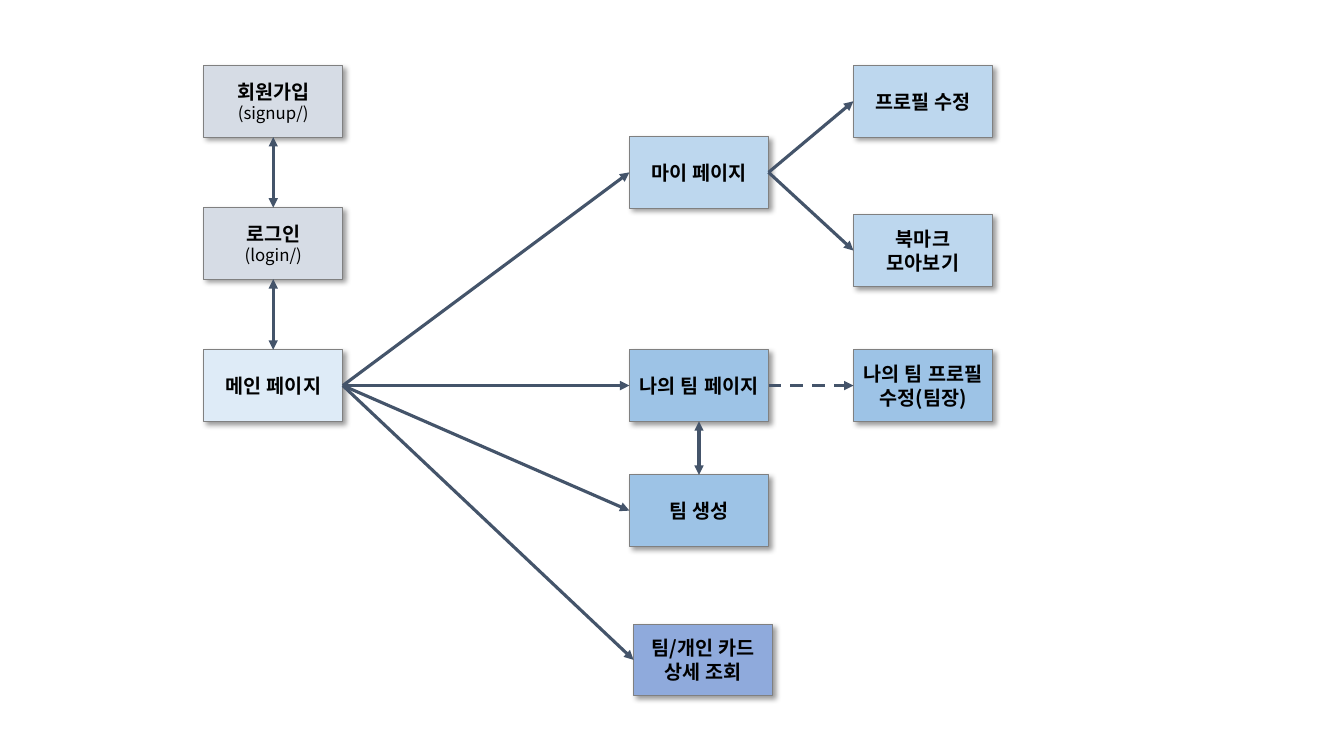
from lxml.etree import SubElement
from pptx import Presentation
from pptx.dml.color import RGBColor
from pptx.enum.dml import MSO_LINE
from pptx.enum.lang import MSO_LANGUAGE_ID
from pptx.enum.shapes import MSO_CONNECTOR, MSO_SHAPE
from pptx.enum.text import MSO_ANCHOR, PP_ALIGN
from pptx.oxml.ns import qn
from pptx.util import Inches, Pt

BLACK = RGBColor(0x00, 0x00, 0x00)
GRAY = RGBColor(0x80, 0x80, 0x80)
SLATE = RGBColor(0x44, 0x54, 0x6A)
ACCOUNT = RGBColor(0xD6, 0xDC, 0xE5)
MAIN = RGBColor(0xDE, 0xEB, 0xF7)
MY_PAGE = RGBColor(0xBD, 0xD7, 0xEE)
TEAM = RGBColor(0x9D, 0xC3, 0xE6)
CARD = RGBColor(0x8F, 0xAA, 0xDC)

# Grid: a column is one box wide, a row is one box plus the gap below it.
LEFT, TOP = 2.02, 0.65
COL, ROW = 1.38, 1.41
BOX_HEIGHT = 0.71
# Connection sites of a rectangle
TOP_SITE, LEFT_SITE, BOTTOM_SITE, RIGHT_SITE = range(4)


class Sitemap:
    """Style and current slide of the page-flow diagram."""

    font = "Noto Sans CJK KR"

    def __init__(self, s):
        """Keep the slide to draw on."""
        self.s = s

    def box(self, col, row, text, fill):
        """Add a page box at a grid place; a second line is its small URL."""
        sp = self.s.shapes.add_shape(
            MSO_SHAPE.RECTANGLE, Inches(LEFT + col * COL),
            Inches(TOP + row * ROW), Inches(COL), Inches(BOX_HEIGHT))
        sp.fill.solid()
        sp.fill.fore_color.rgb = fill
        sp.line.color.rgb = GRAY
        sp.line.width = Pt(0.5)
        self.shade(sp)
        tf = sp.text_frame
        tf.word_wrap = True
        tf.vertical_anchor = MSO_ANCHOR.MIDDLE
        tf.margin_left = tf.margin_right = 0
        tf.margin_top = tf.margin_bottom = Inches(0.04)
        tf.text = text
        for p in tf.paragraphs:
            p.alignment = PP_ALIGN.CENTER
            is_url = p.text.startswith("(")
            for r in p.runs:
                self.style(r, 12 if is_url else 14, not is_url)
        return sp

    def style(self, r, size, bold):
        """Format one run, Korean glyphs included."""
        r.font.size = Pt(size)
        r.font.bold = bold
        r.font.color.rgb = BLACK
        r.font.name = self.font
        r.font.language_id = MSO_LANGUAGE_ID.KOREAN
        SubElement(r.font._element, qn("a:ea"), typeface=self.font)

    def shade(self, sp):
        """Give a box its soft shadow down to the right."""
        sp.shadow.inherit = False
        effects = sp._element.spPr.find(qn("a:effectLst"))
        shadow = SubElement(
            effects, qn("a:outerShdw"), blurRad=str(Pt(4)), dist=str(Pt(3)),
            dir=str(45 * 60000), algn="tl", rotWithShape="0")
        color = SubElement(shadow, qn("a:srgbClr"), val=str(BLACK))
        SubElement(color, qn("a:alpha"), val="40000")

    def arrow(self, start, end, sites=(RIGHT_SITE, LEFT_SITE),
              two_way=False, dashed=False):
        """Glue an arrow between the given sites of two boxes."""
        line = self.s.shapes.add_connector(MSO_CONNECTOR.STRAIGHT, 0, 0, 0, 0)
        line.begin_connect(start, sites[0])
        line.end_connect(end, sites[1])
        line.line.color.rgb = SLATE
        line.line.width = Pt(2.25)
        if dashed:
            line.line.dash_style = MSO_LINE.DASH
        ln = line.line._get_or_add_ln()
        for tag in ("a:headEnd", "a:tailEnd") if two_way else ("a:tailEnd",):
            SubElement(ln, qn(tag), type="triangle")
        SubElement(line._element.spPr, qn("a:effectLst"))


def build():
    """Draw the page flow and save it."""
    prs = Presentation()
    prs.slide_width, prs.slide_height = Inches(13.33), Inches(7.5)
    site = Sitemap(prs.slides.add_slide(prs.slide_layouts[6]))

    signup = site.box(0, 0, "회원가입\n(signup/)", ACCOUNT)
    login = site.box(0, 1, "로그인\n(login/)", ACCOUNT)
    main = site.box(0, 2, "메인 페이지", MAIN)
    my_page = site.box(3.06, 0.5, "마이 페이지", MY_PAGE)
    my_team = site.box(3.06, 2, "나의 팀 페이지", TEAM)
    new_team = site.box(3.06, 2.88, "팀 생성", TEAM)
    card = site.box(3.09, 3.93, "팀/개인 카드 상세 조회", CARD)
    profile = site.box(4.67, 0, "프로필 수정", MY_PAGE)
    bookmarks = site.box(4.67, 1.05, "북마크\n모아보기", MY_PAGE)
    team_profile = site.box(4.67, 2, "나의 팀 프로필 수정(팀장)", TEAM)

    for upper, lower in ((signup, login), (login, main), (my_team, new_team)):
        site.arrow(upper, lower, (BOTTOM_SITE, TOP_SITE), two_way=True)
    for page in (my_page, my_team, new_team, card):
        site.arrow(main, page)
    for page in (profile, bookmarks):
        site.arrow(my_page, page)
    site.arrow(my_team, team_profile, dashed=True)

    prs.save("out.pptx")


build()
